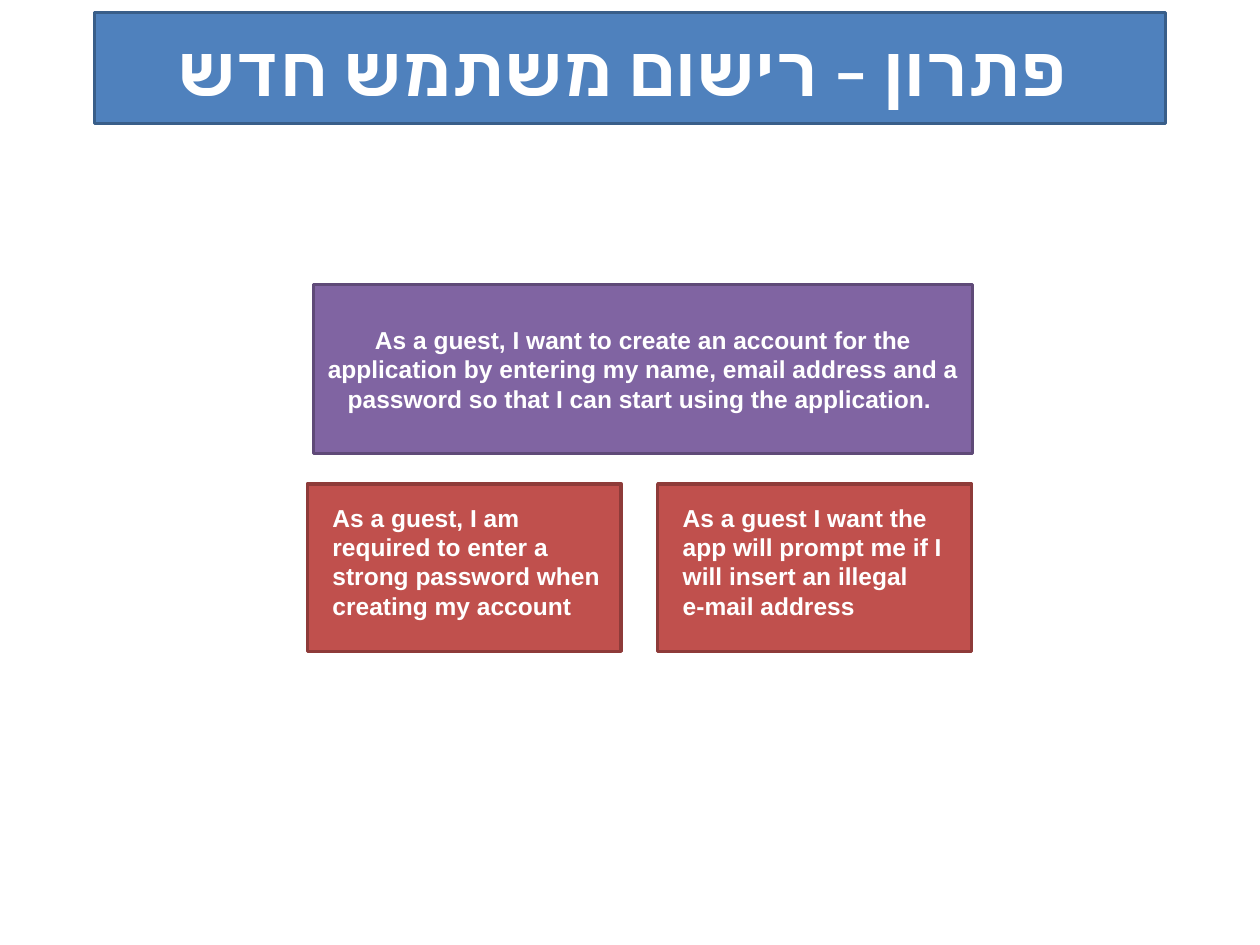
import pptx
import pptx.dml.color
import pptx.enum.shapes
import pptx.enum.text
import pptx.oxml
import pptx.oxml.ns
import pptx.util
from pptx.util import Inches

ALIGN = pptx.enum.text.PP_ALIGN
ANCHOR = pptx.enum.text.MSO_ANCHOR

TITLE = "פתרון – רישום משתמש חדש "
MAIN_STORY = ("As a guest, I want to create an account for the application by entering "
              "my name, email address and a password so that I can start using the "
              "application. ")
DETAIL_STORIES = [
    ["As a guest, I am required to enter a strong password when creating my account"],
    ["As a guest I want the app will prompt me if I will insert an illegal",
     "e-mail address"],
]

BLUE = ("4F81BD", "395E89")
PURPLE = ("8064A2", "5F4A78")
RED = ("C0504D", "8E3B39")

CARD_LEFT, CARD_TOP, CARD_WIDTH, CARD_HEIGHT = 2.44, 3.84, 2.49, 1.33
CARD_STEP = 2.78
TEXT_INSET = 0.1


def color(value):
    return pptx.dml.color.RGBColor.from_string(value)


def add_panel(shapes, left, top, width, height, colors):
    panel = shapes.add_shape(pptx.enum.shapes.MSO_SHAPE.RECTANGLE, Inches(left),
                             Inches(top), Inches(width), Inches(height))
    fill, line = colors
    panel.shadow.inherit = False
    panel.fill.solid()
    panel.fill.fore_color.rgb = color(fill)
    panel.line.color.rgb = color(line)
    panel.line.width = pptx.util.Pt(2)
    return panel


def write(box, lines, align, anchor, size=14, font="Arial"):
    frame = box.text_frame
    frame.word_wrap = True
    frame.vertical_anchor = anchor
    for index, line in enumerate(lines):
        para = frame.add_paragraph() if index else frame.paragraphs[0]
        para.alignment = align
        span = para.add_run()
        span.text = line
        span.font.name = font
        span.font.size = pptx.util.Pt(size)
        span.font.bold = True
        span.font.color.rgb = color("FFFFFF")
    return span


def add_story_card(page, left, lines):
    group = page.shapes.add_group_shape()
    add_panel(group.shapes, left, CARD_TOP, CARD_WIDTH, CARD_HEIGHT, RED)
    box = group.shapes.add_textbox(Inches(left + TEXT_INSET), Inches(CARD_TOP + TEXT_INSET),
                                   Inches(CARD_WIDTH - TEXT_INSET), Inches(1.04))
    write(box, lines, ALIGN.LEFT, ANCHOR.TOP)
    box.text_frame.auto_size = pptx.enum.text.MSO_AUTO_SIZE.SHAPE_TO_FIT_TEXT


def main():
    deck = pptx.Presentation()
    deck.slide_width, deck.slide_height = Inches(10), Inches(7.5)
    page = deck.slides.add_slide(deck.slide_layouts[6])

    banner = add_panel(page.shapes, 0.75, 0.1, 8.5, 0.88, BLUE)
    title = write(banner, [TITLE], ALIGN.CENTER, ANCHOR.MIDDLE, 40, "Calibri")
    # Hebrew letters take the complex-script font
    hebrew_font = pptx.oxml.parse_xml(
        f'<a:cs {pptx.oxml.ns.nsdecls("a")} typeface="Calibri"/>')
    title.font._element.append(hebrew_font)

    main_panel = add_panel(page.shapes, 2.49, 2.26, 5.23, 1.34, PURPLE)
    write(main_panel, [MAIN_STORY], ALIGN.CENTER, ANCHOR.MIDDLE)

    for index, lines in enumerate(DETAIL_STORIES):
        add_story_card(page, CARD_LEFT + index * CARD_STEP, lines)

    deck.save("out.pptx")


if __name__ == "__main__":
    main()
